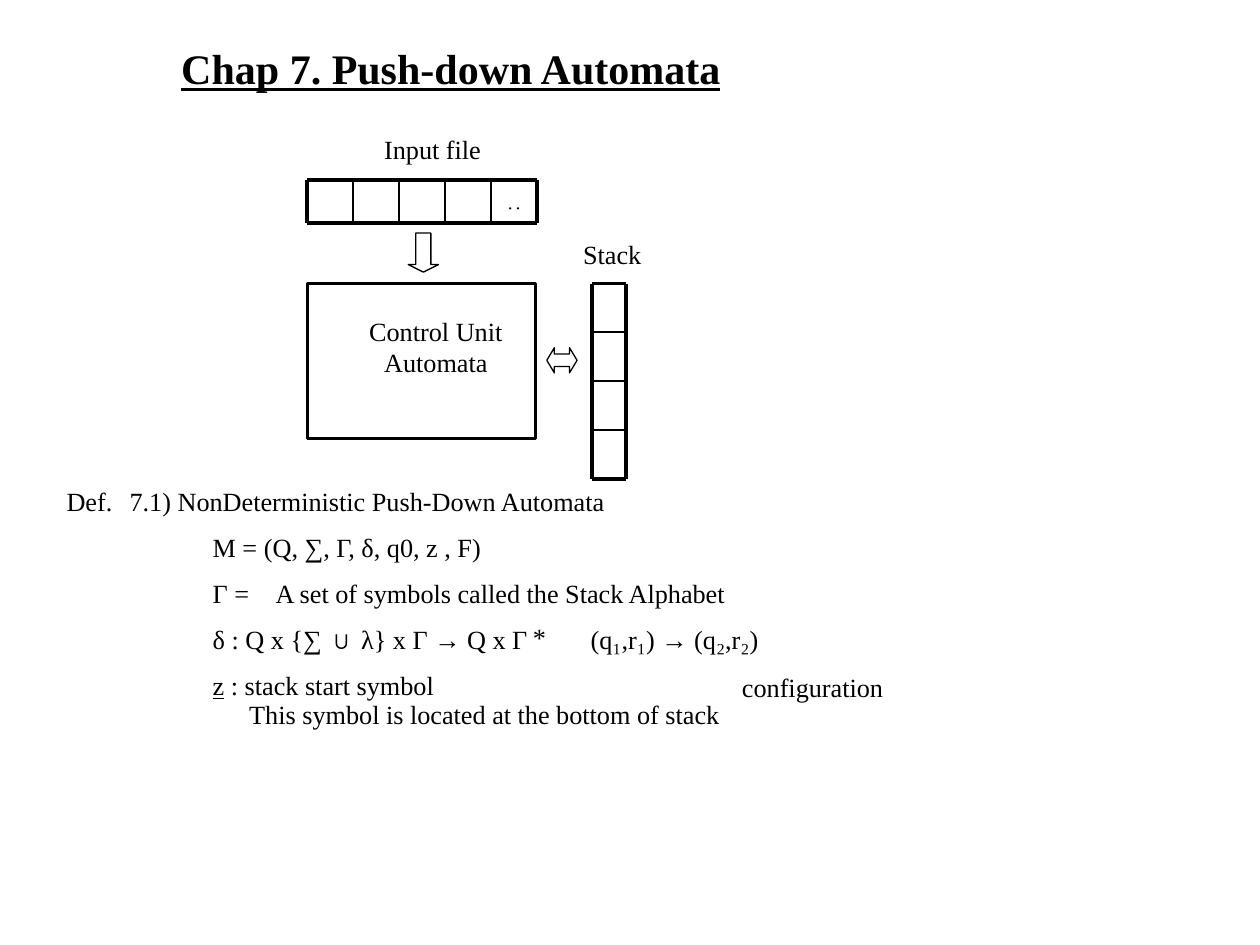
from dataclasses import dataclass, field

from lxml import etree
from pptx import Presentation, util as u
from pptx.dml.color import RGBColor
from pptx.enum import shapes, text
from pptx.oxml.ns import qn


@dataclass(frozen=True)
class Theme:
    font: str = "Times New Roman"
    ink: RGBColor = field(default_factory=lambda: RGBColor(0, 0, 0))
    title: float = 24
    body: float = 15
    thick: float = 2.25
    frame: float = 1.5
    thin: float = 1
    hairline: float = 0.75


@dataclass(frozen=True)
class Box:
    """Left, top, width and height in grid units."""
    x: float
    y: float
    w: float
    h: float


@dataclass(frozen=True)
class Run:
    text: str
    bold: bool = False
    underline: bool = False


@dataclass(frozen=True)
class Para:
    runs: tuple[Run, ...]
    indent: float = 0
    tab: float | None = None
    before: float = 0
    spacing: float | None = None
    align: text.PP_ALIGN = text.PP_ALIGN.LEFT


@dataclass(frozen=True)
class Cells:
    """A strip of equal cells."""
    box: Box
    cols: int
    rows: int


THEME = Theme()
COLS, ROWS = 100, 75
WIDTH, HEIGHT = u.Inches(10), u.Inches(7.5)
GAP = 8.3
INDENT, DEEP_INDENT = 11.6, 14.5


def across(cols: float) -> int:
    return round(WIDTH * cols / COLS)


def down(rows: float) -> int:
    return round(HEIGHT * rows / ROWS)


def place(box: Box) -> tuple[int, int, int, int]:
    return across(box.x), down(box.y), across(box.w), down(box.h)


def add_text(s, box: Box, *paras: Para, size: float = THEME.body) -> None:
    tf = s.shapes.add_textbox(*place(box)).text_frame
    tf.word_wrap = True
    for i, para in enumerate(paras):
        p = tf.add_paragraph() if i else tf.paragraphs[0]
        ppr = p._p.get_or_add_pPr()
        ppr.set("marL", str(across(para.indent)))
        ppr.set("indent", "0")
        if para.tab is not None:
            tabs = etree.SubElement(ppr, qn("a:tabLst"))
            etree.SubElement(tabs, qn("a:tab"), pos=str(across(para.tab)), algn="l")
        p.alignment = para.align
        p.space_before = u.Pt(para.before)
        if para.spacing:
            p.line_spacing = para.spacing
        for run in para.runs:
            r = p.add_run()
            r.text = run.text
            r.font.name, r.font.size = THEME.font, u.Pt(size)
            r.font.color.rgb = THEME.ink
            r.font.bold, r.font.underline = run.bold, run.underline


def add_line(s, x1: float, y1: float, x2: float, y2: float, weight: float) -> None:
    line = s.shapes.add_connector(shapes.MSO_CONNECTOR.STRAIGHT,
                                  across(x1), down(y1), across(x2), down(y2))
    line.line.color.rgb = THEME.ink
    line.line.width = u.Pt(weight)
    etree.SubElement(line._element.spPr, qn("a:effectLst"))


def add_cells(s, cells: Cells) -> None:
    """Draw a strip with thin dividers and a thick outline."""
    b = cells.box
    for i in range(cells.cols + 1):
        x = b.x + b.w * i / cells.cols
        add_line(s, x, b.y, x, b.y + b.h,
                 THEME.thick if i in (0, cells.cols) else THEME.thin)
    for i in range(cells.rows + 1):
        y = b.y + b.h * i / cells.rows
        add_line(s, b.x, y, b.x + b.w, y,
                 THEME.thick if i in (0, cells.rows) else THEME.thin)


def add_outline(s, kind: shapes.MSO_SHAPE, box: Box, weight: float,
                adjustments: tuple[float, ...] = ()) -> None:
    sp = s.shapes.add_shape(kind, *place(box))
    sp.shadow.inherit = False
    sp.fill.background()
    sp.line.color.rgb = THEME.ink
    sp.line.width = u.Pt(weight)
    for i, value in enumerate(adjustments):
        sp.adjustments[i] = value


def label(content: str, **options) -> Para:
    return Para((Run(content),), **options)


TAPE = Cells(Box(24.4, 14.3, 18.2, 3.4), cols=5, rows=1)
STACK = Cells(Box(47, 22.5, 2.7, 15.5), cols=1, rows=4)

OUTLINES = (
    (shapes.MSO_SHAPE.RECTANGLE, Box(24.4, 22.5, 18.1, 12.3), THEME.frame, ()),
    (shapes.MSO_SHAPE.DOWN_ARROW, Box(32.4, 18.5, 2.4, 3.1), THEME.hairline, (0.5, 0.25)),
    (shapes.MSO_SHAPE.LEFT_RIGHT_ARROW, Box(43.4, 27.6, 2.4, 2), THEME.hairline, (0.5, 0.3)),
)

LABELS = (
    (Box(38.9, 14.3, 3.6, 3.5), label("ᆢ", spacing=1.2)),
    (Box(26.8, 24.5, 15.6, 7.8),
     label("Control Unit Automata", align=text.PP_ALIGN.CENTER)),
    (Box(45.3, 18.4, 8.3, 4.6), label("Stack")),
    (Box(29.5, 10.1, 11, 4.6), label("Input file")),
    (Box(41.3, 48.8, 3.9, 3.5), label("*")),
    (Box(57.9, 52.8, 21.3, 3.5), label("configuration")),
)

DEFINITION = (
    label("Def.\t7.1) NonDeterministic Push-Down Automata", tab=4.7),
    label("M = (Q, ∑, Γ, δ, q0, z , F)", indent=INDENT, before=GAP),
    label("Γ =\tA set of symbols called the Stack Alphabet",
          indent=INDENT, tab=15.5, before=GAP),
    label("δ : Q x {∑ ∪ λ} x Γ → Q x Γ\t(q₁,r₁) → (q₂,r₂)",
          indent=INDENT, tab=42.6, before=GAP),
    Para((Run("z", underline=True), Run(" : stack start symbol")),
         indent=INDENT, before=GAP),
    label("This symbol is located at the bottom of stack",
          indent=DEEP_INDENT, spacing=0.96),
)


def main() -> None:
    prs = Presentation()
    prs.slide_width, prs.slide_height = WIDTH, HEIGHT
    s = prs.slides.add_slide(prs.slide_layouts[6])

    title = Run("Chap 7. Push-down Automata", bold=True, underline=True)
    add_text(s, Box(13.4, 2.9, 54.3, 5.1), Para((title,)), size=THEME.title)
    for outline in OUTLINES:
        add_outline(s, *outline)
    for cells in (TAPE, STACK):
        add_cells(s, cells)
    for box, para in LABELS:
        add_text(s, box, para)
    add_text(s, Box(4.3, 38, 84.3, 21.2), *DEFINITION)

    prs.save("out.pptx")


if __name__ == "__main__":
    main()
